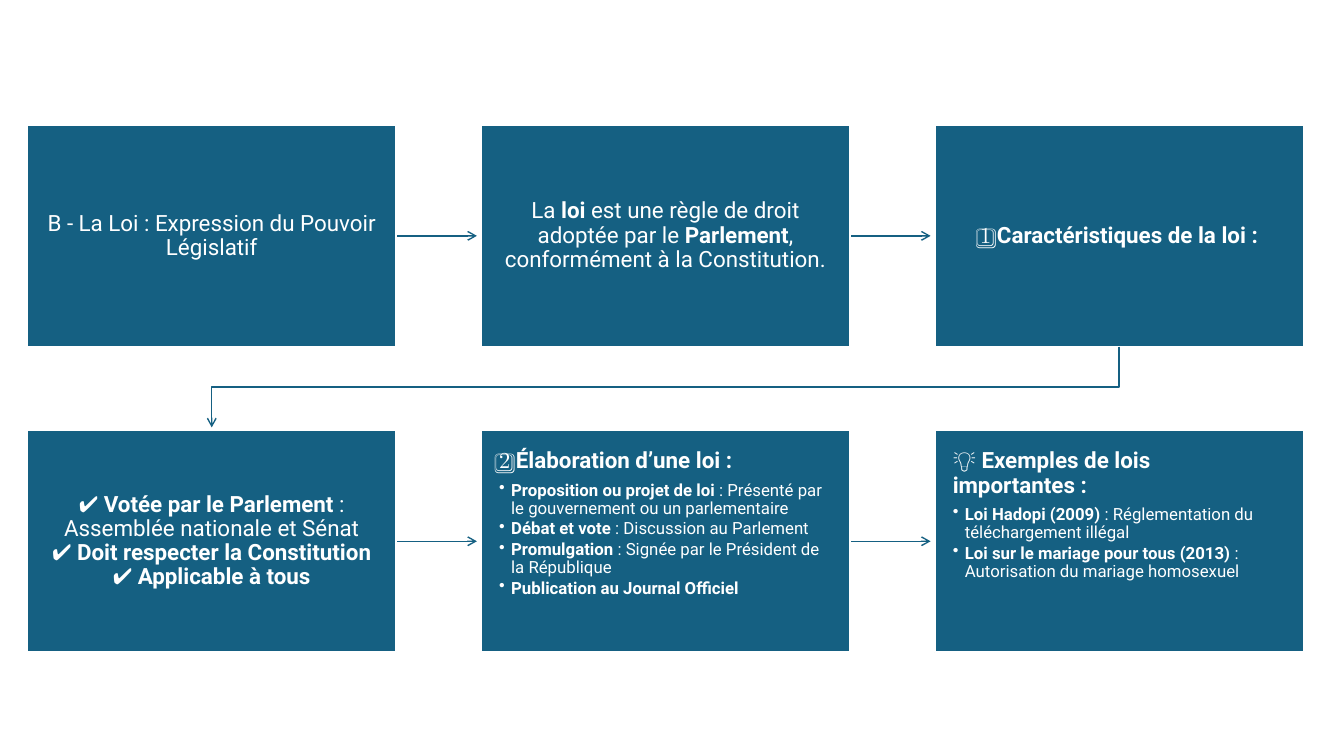
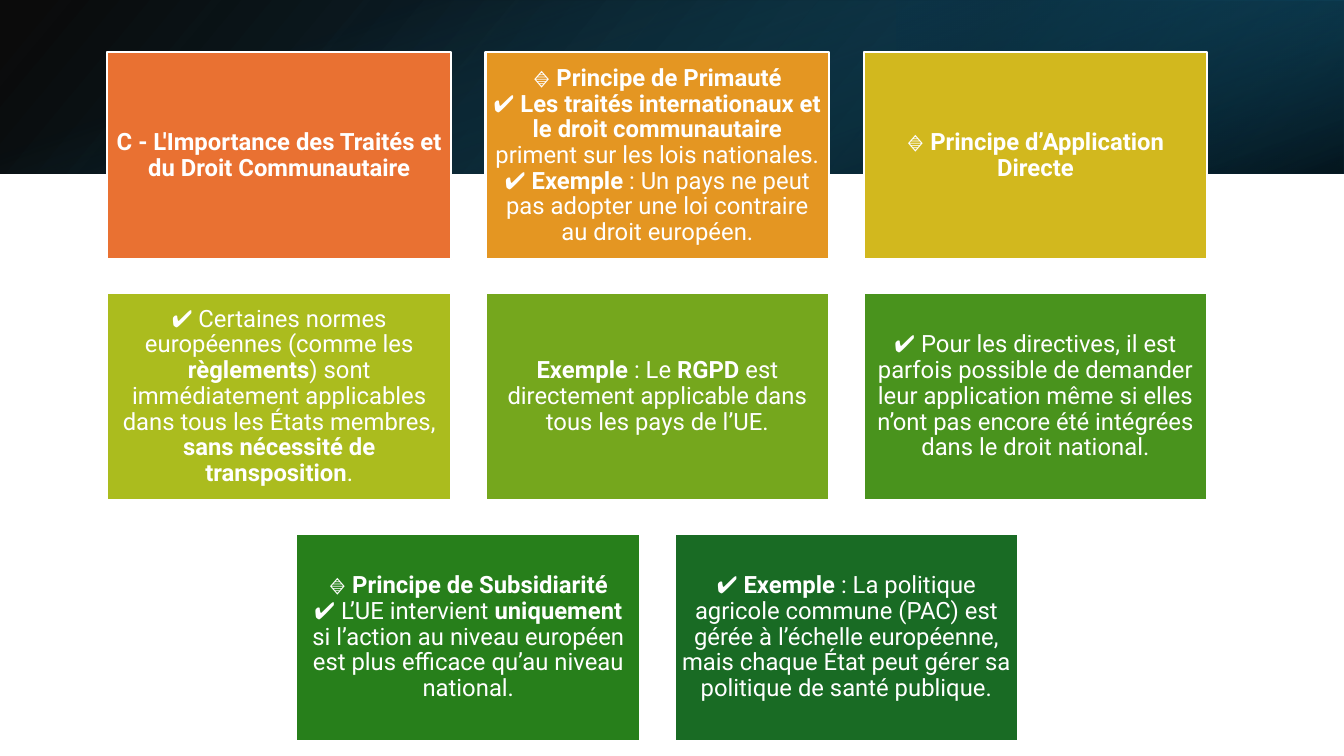
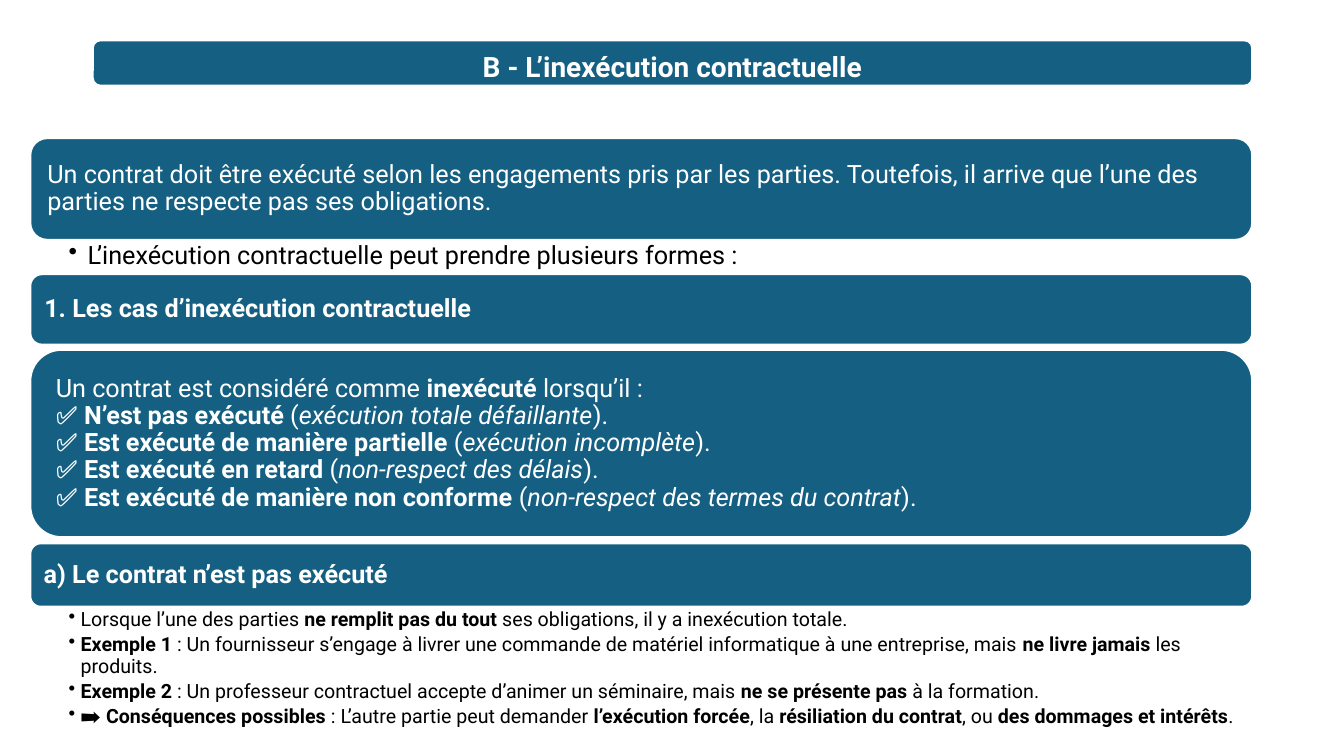
from copy import deepcopy
from dataclasses import dataclass

from lxml.etree import SubElement
from pptx import Presentation
from pptx.dml.color import RGBColor
from pptx.enum.shapes import MSO_CONNECTOR, MSO_SHAPE
from pptx.enum.text import MSO_ANCHOR, PP_ALIGN
from pptx.oxml.ns import qn
from pptx.util import Inches, Pt


@dataclass(frozen=True)
class Theme:
    """Colours, font and type sizes shared by the slides."""
    font: str = "Roboto"
    blue: str = "156082"
    white: str = "FFFFFF"
    black: str = "000000"
    step_size: int = 16
    detail_size: int = 12
    tile_size: int = 17
    title_size: int = 20
    body_size: int = 18
    note_size: int = 14
    outline: float = 1.5
    arrow: float = 1


THEME = Theme()

STEPS = [
    ["B - La Loi : Expression du Pouvoir Législatif"],
    ["La *loi* est une règle de droit adoptée par le *Parlement*, conformément à la Constitution."],
    ["*1️⃣ Caractéristiques de la loi :*"],
    ["✔ *Votée par le Parlement* : Assemblée nationale et Sénat\n"
     "✔ *Doit respecter la Constitution*\n✔ *Applicable à tous*"],
    ["*2️⃣ Élaboration d’une loi :*",
     "*Proposition ou projet de loi* : Présenté par le gouvernement ou un parlementaire",
     "*Débat et vote* : Discussion au Parlement",
     "*Promulgation* : Signée par le Président de la République",
     "*Publication au Journal Officiel*"],
    ["💡 *Exemples de lois importantes :*",
     "*Loi Hadopi (2009)* : Réglementation du téléchargement illégal",
     "*Loi sur le mariage pour tous (2013)* : Autorisation du mariage homosexuel"],
]

TILE_ROWS = [
    [("E97132", "*C - L'Importance des Traités et du Droit Communautaire*"),
     ("E49622", "🔹 *Principe de Primauté*\n✔ *Les traités internationaux et le droit communautaire* "
                "priment sur les lois nationales.\n✔ *Exemple* : Un pays ne peut pas adopter une loi "
                "contraire au droit européen."),
     ("D2B81E", "🔹 *Principe d’Application Directe*")],
    [("ABBC1E", "✔ Certaines normes européennes (comme les *règlements*) sont immédiatement "
                "applicables dans tous les États membres, *sans nécessité de transposition*."),
     ("75A71D", "*Exemple* : Le *RGPD* est directement applicable dans tous les pays de l’UE."),
     ("49931D", "✔ Pour les directives, il est parfois possible de demander leur application "
                "même si elles n’ont pas encore été intégrées dans le droit national.")],
    [("277F1B", "🔹 *Principe de Subsidiarité*\n✔ L’UE intervient *uniquement* si l’action au "
                "niveau européen est plus efficace qu’au niveau national."),
     ("196B24", "✔ *Exemple* : La politique agricole commune (PAC) est gérée à l’échelle "
                "européenne, mais chaque État peut gérer sa politique de santé publique.")],
]

PANELS = [
    (1.37, 1.01, "Un contrat doit être exécuté selon les engagements pris par les parties. "
                 "Toutefois, il arrive que l’une des parties ne respecte pas ses obligations."),
    (2.72, 0.7, "*1. Les cas d’inexécution contractuelle*"),
    (3.47, 1.86, "Un contrat est considéré comme *inexécuté* lorsqu’il :\n"
                 "✅ *N’est pas exécuté* (_exécution totale défaillante_).\n"
                 "✅ *Est exécuté de manière partielle* (_exécution incomplète_).\n"
                 "✅ *Est exécuté en retard* (_non-respect des délais_).\n"
                 "✅ *Est exécuté de manière non conforme* (_non-respect des termes du contrat_)."),
    (5.39, 0.63, "*a) Le contrat n’est pas exécuté*"),
]

FORMS = ["L’inexécution contractuelle peut prendre plusieurs formes :"]

CASES = [
    "Lorsque l’une des parties *ne remplit pas du tout* ses obligations, il y a inexécution totale.",
    "*Exemple 1* : Un fournisseur s’engage à livrer une commande de matériel informatique à une "
    "entreprise, mais *ne livre jamais* les produits.",
    "*Exemple 2* : Un professeur contractuel accepte d’animer un séminaire, mais "
    "*ne se présente pas* à la formation.",
    "➡️ *Conséquences possibles* : L’autre partie peut demander *l’exécution forcée*, la "
    "*résiliation du contrat*, ou *des dommages et intérêts*.",
]


def add_span(para, text, size, color, bold, italic):
    """Add one formatted run, turning newlines into line breaks."""
    for index, line in enumerate(text.split("\n")):
        if index:
            para.add_line_break()
        if line:
            span = para.add_run()
            span.text = line
            font = span.font
            font.name, font.size, font.bold, font.italic = THEME.font, Pt(size), bold, italic
            font.color.rgb = RGBColor.from_string(color)


def write_para(para, text, size, color, align=PP_ALIGN.LEFT, after=0.35):
    """Write text in which *stars* mark bold and _underscores_ mark italic."""
    para.alignment = align
    para.line_spacing = 0.9
    para.space_after = Pt(round(size * after, 1))
    for bold, chunk in enumerate(text.split("*")):
        for italic, piece in enumerate(chunk.split("_")):
            add_span(para, piece, size, color, bold % 2 == 1, italic % 2 == 1)
    for line_break in para._p.findall(qn("a:br")):
        line_break.append(deepcopy(line_break.getprevious().find(qn("a:rPr"))))


def write_bullets(frame, items, size, color, indent, after, fresh=True):
    """Write bulleted paragraphs, starting in the first one if the frame is fresh."""
    for index, item in enumerate(items):
        para = frame.paragraphs[0] if fresh and index == 0 else frame.add_paragraph()
        para.level = 1
        properties = para._p.get_or_add_pPr()
        properties.set("marL", str(Inches(indent)))
        properties.set("indent", str(-Inches(indent)))
        SubElement(properties, qn("a:buChar")).set("char", "•")
        write_para(para, item, size, color, after=after)


def set_frame(frame, anchor, insets):
    """Set wrapping, anchor and the left, top, right and bottom insets."""
    frame.word_wrap = True
    frame.vertical_anchor = anchor
    frame.margin_left, frame.margin_top, frame.margin_right, frame.margin_bottom = map(Inches, insets)


def add_card(page, place, fill, insets, kind=MSO_SHAPE.RECTANGLE, anchor=MSO_ANCHOR.MIDDLE):
    """Add a filled box with a white outline and return its text frame."""
    box = page.shapes.add_shape(kind, *map(Inches, place))
    box.shadow.inherit = False
    box.fill.solid()
    box.fill.fore_color.rgb = RGBColor.from_string(fill)
    box.line.color.rgb = RGBColor.from_string(THEME.white)
    box.line.width = Pt(THEME.outline)
    set_frame(box.text_frame, anchor, insets)
    return box.text_frame


def add_list(page, place, items, size, indent):
    """Add a text box of black bullets."""
    box = page.shapes.add_textbox(*map(Inches, place))
    set_frame(box.text_frame, MSO_ANCHOR.TOP, (0.38, 0.03, 0.14, 0.03))
    write_bullets(box.text_frame, items, size, THEME.black, indent, 0.2)


def add_arrow(page, kind, start, end):
    """Add a thin blue arrow and return it."""
    arrow = page.shapes.add_connector(kind, *map(Inches, start + end))
    arrow.line.color.rgb = RGBColor.from_string(THEME.blue)
    arrow.line.width = Pt(THEME.arrow)
    SubElement(arrow.line._get_or_add_ln(), qn("a:tailEnd")).set("type", "arrow")
    SubElement(arrow.element.spPr, qn("a:effectLst"))
    return arrow


def add_drop_arrow(page, start, end):
    """Add an elbow arrow that leaves downwards and arrives downwards to the left."""
    middle_x, middle_y = (start[0] + end[0]) / 2, (start[1] + end[1]) / 2
    half_run, half_drop = (start[0] - end[0]) / 2, (end[1] - start[1]) / 2
    arrow = add_arrow(page, MSO_CONNECTOR.ELBOW,
                      (middle_x - half_drop, middle_y - half_run),
                      (middle_x + half_drop, middle_y + half_run))
    arrow.element.spPr.find(qn("a:xfrm")).set("rot", "5400000")


def add_gradient(page, place, stops, angle, rotation=0, flip=False):
    """Add a band with a two-stop gradient of (position, colour, opacity)."""
    band = page.shapes.add_shape(MSO_SHAPE.RECTANGLE, *map(Inches, place))
    band.shadow.inherit = False
    band.line.fill.background()
    band.rotation = rotation
    if flip:
        band.element.spPr.find(qn("a:xfrm")).set("flipH", "1")
    band.fill.gradient()
    band.fill.gradient_angle = 360 - angle
    for stop, (position, color, _) in zip(band.fill.gradient_stops, stops):
        stop.position = position / 100
        stop.color.rgb = RGBColor.from_string(color)
    for node, (_, _, opacity) in zip(band.element.spPr.iter(qn("a:srgbClr")), stops):
        SubElement(node, qn("a:alpha")).set("val", str(opacity * 1000))


def build_law(page):
    """Build the six-step flow on the law."""
    left, top, width, height, step_x, step_y = 0.27, 1.24, 3.66, 2.2, 4.5, 3.03
    for index, (heading, *details) in enumerate(STEPS):
        row, column = divmod(index, 3)
        x, y = left + column * step_x, top + row * step_y
        if column < 2:
            middle = y + height / 2
            add_arrow(page, MSO_CONNECTOR.STRAIGHT, (x + width, middle), (x + step_x - 0.04, middle))
        anchor = MSO_ANCHOR.TOP if details else MSO_ANCHOR.MIDDLE
        align = PP_ALIGN.LEFT if details else PP_ALIGN.CENTER
        frame = add_card(page, (x, y, width, height), THEME.blue, (0.18, 0.19, 0.18, 0.19), anchor=anchor)
        write_para(frame.paragraphs[0], heading, THEME.step_size, THEME.white, align)
        write_bullets(frame, details, THEME.detail_size, THEME.white, 0.12, 0.15, fresh=False)
    add_drop_arrow(page, (left + 2 * step_x + width / 2, top + height),
                   (left + width / 2, top + step_y - 0.03))


def build_treaties(page):
    """Build the coloured tiles on treaties under a dark header."""
    band = 1.72
    add_gradient(page, (0, 0, 13.33, band), [(0, "000000", 96), (100, "104862", 100)], 140, flip=True)
    add_gradient(page, (8.89, 0, 4.44, band), [(19, "0B3041", 68), (100, THEME.blue, 79)], 320, 180, True)
    add_gradient(page, (5.8, -5.8, band, 13.33), [(23, THEME.blue, 0), (99, "000000", 74)], 340, 90)
    width, height, gap, top, center = 3.41, 2.05, 0.34, 0.52, 6.52
    for row, tiles in enumerate(TILE_ROWS):
        left = center - (len(tiles) * (width + gap) - gap) / 2
        for column, (color, text) in enumerate(tiles):
            place = (left + column * (width + gap), top + row * (height + gap), width, height)
            frame = add_card(page, place, color, (0.07,) * 4)
            write_para(frame.paragraphs[0], text, THEME.tile_size, THEME.white, PP_ALIGN.CENTER)


def build_breach(page):
    """Build the panels and lists on breach of contract."""
    left, width = 0.3, 12.12
    title = add_card(page, (0.92, 0.4, 11.5, 0.45), THEME.blue, (0.1, 0.11, 0.1, 0),
                     MSO_SHAPE.ROUNDED_RECTANGLE)
    write_para(title.paragraphs[0], "*B - L’inexécution contractuelle*", THEME.title_size,
               THEME.white, PP_ALIGN.CENTER)
    for top, height, text in PANELS:
        inset = 0.07 + height * 0.05
        frame = add_card(page, (left, top, width, height), THEME.blue, (inset,) * 4,
                         MSO_SHAPE.ROUNDED_RECTANGLE)
        write_para(frame.paragraphs[0], text, THEME.body_size, THEME.white)
    add_list(page, (left, 2.38, width, 0.34), FORMS, THEME.body_size, 0.19)
    add_list(page, (left, 6.02, width, 1.3), CASES, THEME.note_size, 0.12)


def main():
    """Build and save the deck."""
    deck = Presentation()
    deck.slide_width, deck.slide_height = Inches(13.33), Inches(7.5)
    for build in (build_law, build_treaties, build_breach):
        build(deck.slides.add_slide(deck.slide_layouts[6]))
    deck.save("out.pptx")


if __name__ == "__main__":
    main()
